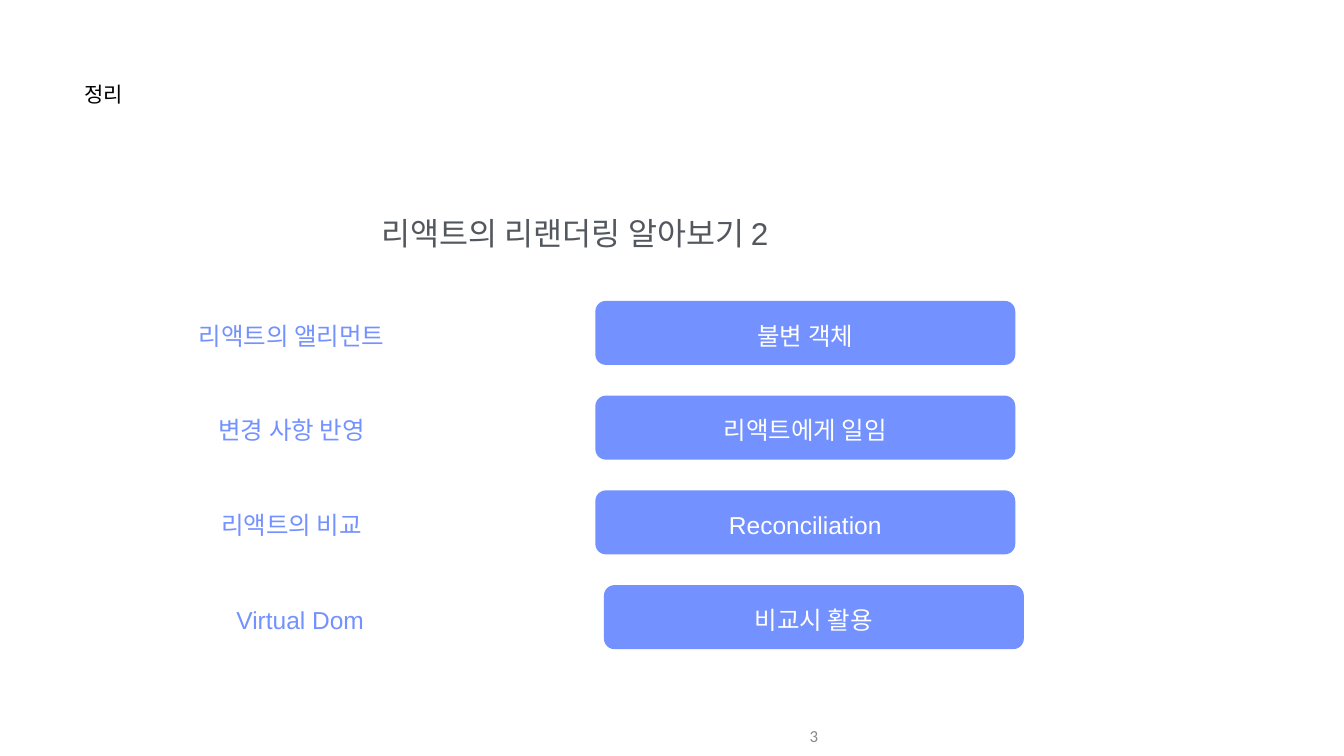
from pptx import Presentation
from pptx.dml.color import RGBColor
from pptx.enum.shapes import MSO_SHAPE
from pptx.enum.text import MSO_ANCHOR, MSO_AUTO_SIZE, PP_ALIGN
from pptx.util import Inches, Pt

BLACK = RGBColor(0x00, 0x00, 0x00)
WHITE = RGBColor(0xFF, 0xFF, 0xFF)
BLUE = RGBColor(0x73, 0x91, 0xFF)
SLATE = RGBColor(0x53, 0x58, 0x5F)
GREY = RGBColor(0x88, 0x88, 0x88)

LABEL_LEFT, LABEL_WIDTH = 2.66, 6.25
ANSWER_LEFT, ANSWER_WIDTH = 11.81, 8.33
ROW_TOP, ROW_HEIGHT, ROW_PITCH = 5.97, 1.27, 1.88
LAST_ROW_SHIFT = 0.17

ROWS = [
    ("리액트의 앨리먼트", "불변 객체"),
    ("변경 사항 반영", "리액트에게 일임"),
    ("리액트의 비교", "Reconciliation"),
    ("Virtual Dom", "비교시 활용"),
]


def write(sp, text, size, color, align=PP_ALIGN.CENTER, anchor=MSO_ANCHOR.MIDDLE,
          font="Arial", top_inset=0.01):
    tf = sp.text_frame
    tf.text = text
    tf.word_wrap = True
    tf.auto_size = MSO_AUTO_SIZE.NONE
    tf.vertical_anchor = anchor
    tf.margin_left = tf.margin_right = tf.margin_bottom = Inches(0.01)
    tf.margin_top = Inches(top_inset)
    p = tf.paragraphs[0]
    p.alignment = align
    p.space_before = Pt(0)
    f = p.runs[0].font
    f.name, f.size, f.color.rgb = font, Pt(size), color


def add_text(slide, box, *args, **style):
    sp = slide.shapes.add_textbox(*map(Inches, box))
    write(sp, *args, **style)


def add_answer(slide, left, top, text):
    sp = slide.shapes.add_shape(
        MSO_SHAPE.ROUNDED_RECTANGLE,
        *map(Inches, (left, top, ANSWER_WIDTH, ROW_HEIGHT)))
    sp.adjustments[0] = 0.164
    sp.shadow.inherit = False
    sp.fill.solid()
    sp.fill.fore_color.rgb = BLUE
    sp.line.fill.background()
    write(sp, text, 35, WHITE, top_inset=0.11)


def add_row(slide, index, label, answer):
    top = ROW_TOP + index * ROW_PITCH
    shift = LAST_ROW_SHIFT if index == len(ROWS) - 1 else 0
    add_text(slide, (LABEL_LEFT + shift, top, LABEL_WIDTH, ROW_HEIGHT),
             label, 35, BLUE, top_inset=0.11)
    add_answer(slide, ANSWER_LEFT + shift, top, answer)


def set_title(slide, text):
    title = slide.shapes.title
    title.left, title.top, title.width, title.height = map(
        Inches, (1.67, 1.6, 4.86, 1.18))
    write(title, text, 30, BLACK, PP_ALIGN.LEFT, MSO_ANCHOR.TOP)


def main():
    prs = Presentation()
    prs.slide_width, prs.slide_height = Inches(26.66), Inches(15)
    slide = prs.slides.add_slide(prs.slide_layouts[5])
    set_title(slide, "정리")
    add_text(slide, (2.64, 4.24, 17.54, 0.79), "리액트의 리랜더링 알아보기 2",
             45, SLATE, anchor=MSO_ANCHOR.TOP)
    for index, (label, answer) in enumerate(ROWS):
        add_row(slide, index, label, answer)
    add_text(slide, (10.33, 14.21, 5.91, 0.79), "3", 24, GREY,
             align=PP_ALIGN.RIGHT, font="Calibri")
    prs.save("out.pptx")


if __name__ == "__main__":
    main()
